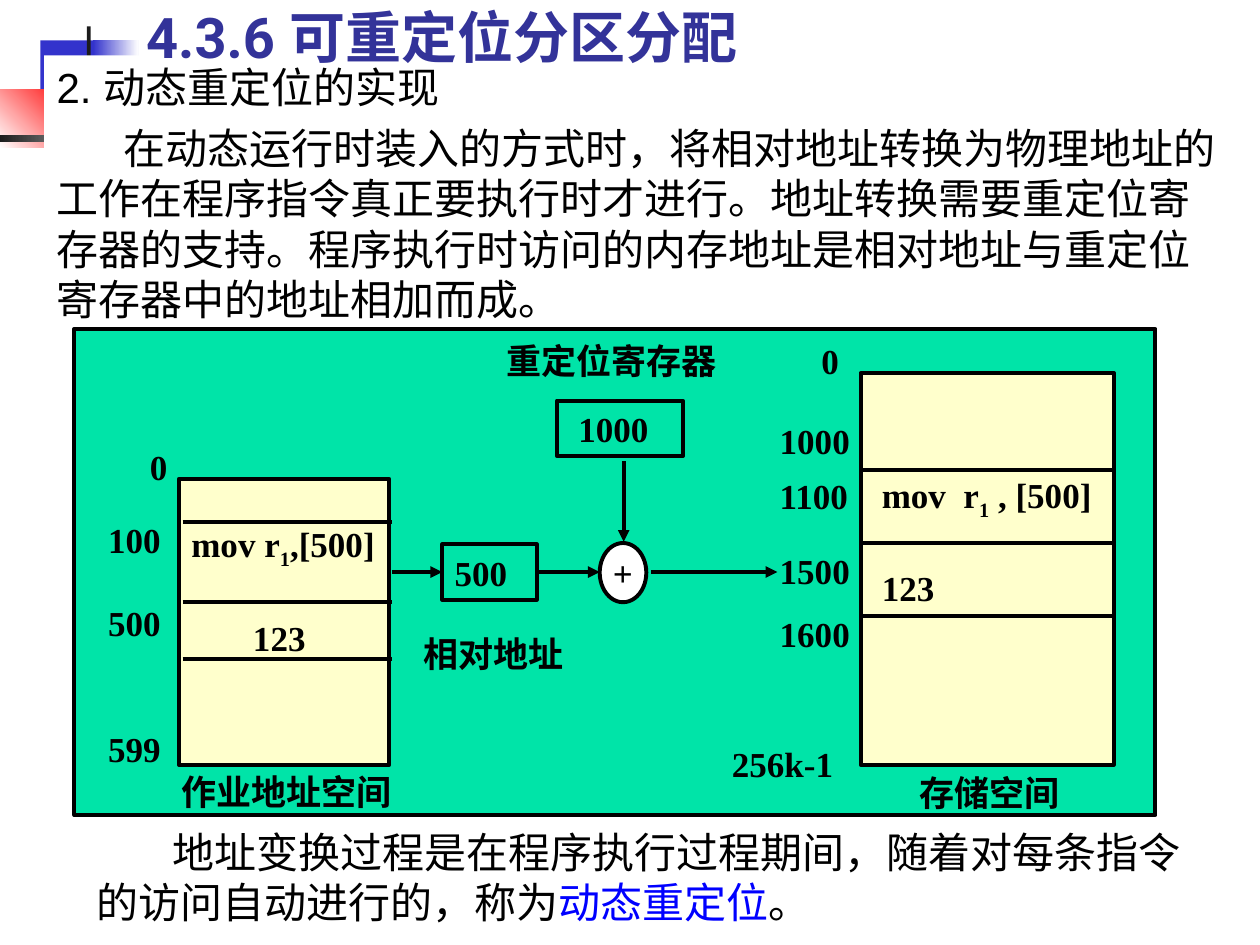
from lxml import etree
from pptx import Presentation
from pptx import util as u
from pptx.dml.color import RGBColor
from pptx.enum import shapes, text
from pptx.oxml.ns import qn

RECT = shapes.MSO_SHAPE.RECTANGLE
OVAL = shapes.MSO_SHAPE.OVAL
LEFT, MID = text.PP_ALIGN.LEFT, text.PP_ALIGN.CENTER
BLACK, WHITE, CREAM = "000000", "FFFFFF", "FFFFCC"


def color(code):
    return RGBColor.from_string(code)


class Page:
    serif, sans, head = "Times New Roman", "Arial", "Roboto"
    small, large = 20, 24
    width = 2.25

    def __init__(self, slide):
        self.slide = slide

    def font(self, run, name, size, bold=False, ink=BLACK):
        run.font.name = name
        run.font.size = u.Pt(size)
        run.font.bold = bold
        run.font.color.rgb = color(ink)

    def title(self, words, x, y, w, h):
        box = self.slide.shapes.title
        box.left, box.top, box.width, box.height = map(u.Inches, (x, y, w, h))
        frame = box.text_frame
        frame.text = words
        frame.vertical_anchor = text.MSO_ANCHOR.BOTTOM
        para = frame.paragraphs[0]
        para.alignment = LEFT
        self.font(para.runs[0], self.head, 32, True, "333399")
        # Keep the title in front of the white text panel
        self.slide.shapes.element.append(box.element)

    def shape(self, x, y, w, h, fill=None, line=None, kind=RECT):
        item = self.slide.shapes.add_shape(kind, *map(u.Inches, (x, y, w, h)))
        item.shadow.inherit = False
        if fill is None:
            item.fill.background()
        elif isinstance(fill, str):
            item.fill.solid()
            item.fill.fore_color.rgb = color(fill)
        else:
            start, end, angle = fill
            item.fill.gradient()
            item.fill.gradient_angle = angle
            for stop, code in zip(item.fill.gradient_stops, (start, end)):
                stop.color.rgb = color(code)
        if line:
            item.line.color.rgb = color(line)
            item.line.width = u.Pt(self.width)
        else:
            item.line.fill.background()
        return item

    def mark(self, item, words, align=LEFT, inset=0.1):
        """Put bold serif text in a shape; '_' comes before a subscript sign."""
        frame = item.text_frame
        frame.margin_left = u.Inches(inset)
        frame.vertical_anchor = text.MSO_ANCHOR.MIDDLE
        para = frame.paragraphs[0]
        para.alignment = align
        lead, _, rest = words.partition("_")
        for part, low in ((lead, False), (rest[:1], True), (rest[1:], False)):
            if part:
                run = para.add_run()
                run.text = part
                self.font(run, self.serif, self.small, True)
                if low:
                    run.font._element.set("baseline", "-25000")

    def label(self, words, x, y, w=1):
        box = self.slide.shapes.add_textbox(*map(u.Inches, (x, y, w, 0.44)))
        box.text_frame.word_wrap = False
        self.mark(box, words)

    def prose(self, item, paras):
        """Each paragraph is a first-line indent and a list of (words, ink)."""
        frame = item.text_frame
        frame.word_wrap = True
        frame.vertical_anchor = text.MSO_ANCHOR.TOP
        for i, (indent, parts) in enumerate(paras):
            para = frame.add_paragraph() if i else frame.paragraphs[0]
            para.alignment = LEFT
            para.space_before = u.Pt(6 if i else 0)
            para._p.get_or_add_pPr().set("indent", str(u.Inches(indent)))
            for words, ink in parts:
                run = para.add_run()
                run.text = words
                self.font(run, self.sans, self.large, ink=ink)

    def line(self, x1, y1, x2, y2, arrow=False):
        item = self.slide.shapes.add_connector(
            shapes.MSO_CONNECTOR.STRAIGHT, *map(u.Inches, (x1, y1, x2, y2)))
        item.line.color.rgb = color(BLACK)
        item.line.width = u.Pt(self.width)
        if arrow:
            etree.SubElement(item.line._get_or_add_ln(), qn("a:tailEnd"), type="triangle")
        etree.SubElement(item._element.spPr, qn("a:effectLst"))
        return item


def main():
    deck = Presentation()
    deck.slide_width, deck.slide_height = u.Inches(10), u.Inches(7.5)
    page = Page(deck.slides.add_slide(deck.slide_layouts[5]))

    # Corner ornament
    page.shape(0.32, 0.32, 0.48, 0.52, "3333CC")
    page.shape(0.74, 0.32, 0.36, 0.52, ("3333CC", WHITE, 0))
    page.shape(0, 0.71, 0.61, 0.46, (WHITE, "FF0000", 45))
    page.shape(0.69, 0.21, 0.03, 1.15, "1C1C1C")
    page.shape(0, 1.07, 1.22, 0.06, ("1C1C1C", WHITE, 0))

    # Running text above and below the diagram
    page.prose(page.shape(0.35, 0.44, 9.45, 2.19, WHITE), [
        (0, [("2. 动态重定位的实现", BLACK)]),
        (0.53, [("在动态运行时装入的方式时，将相对地址转换为物理地址的"
                 "工作在程序指令真正要执行时才进行。地址转换需要重定位寄"
                 "存器的支持。程序执行时访问的内存地址是相对地址与重定位"
                 "寄存器中的地址相加而成。", BLACK)]),
    ])
    note = page.slide.shapes.add_textbox(*map(u.Inches, (0.67, 6.51, 8.83, 0.9)))
    page.prose(note, [(0.6, [
        ("地址变换过程是在程序执行过程期间，随着对每条指令的访问自动进行的，称为", BLACK),
        ("动态重定位", "0000FF"), ("。", BLACK)])])

    # Panel and the two address spaces
    page.shape(0.59, 2.61, 8.58, 3.86, "00E4A8", BLACK)
    page.shape(1.42, 3.8, 1.67, 2.27, CREAM, BLACK)
    page.shape(6.83, 2.96, 2.01, 3.11, CREAM, BLACK)
    for y in (4.14, 4.78, 5.23):
        page.line(1.45, y, 3.11, y)
    for y in (3.73, 4.31, 4.89):
        page.line(6.83, y, 8.83, y)

    # Cell contents, addresses and captions
    for words, x, y, w in [
        ("mov r_1,[500]", 1.42, 4.12, 1.67), ("123", 1.91, 4.84, 0.67),
        ("mov  r_1 , [500]", 6.9, 3.73, 1.9), ("123", 6.9, 4.44, 0.67),
        ("0", 1.09, 3.48, 0.42), ("100", 0.76, 4.06, 0.67),
        ("500", 0.76, 4.72, 0.67), ("599", 0.76, 5.72, 0.67),
        ("0", 6.42, 2.64, 0.42), ("1000", 6.09, 3.28, 1),
        ("1100", 6.09, 3.71, 1), ("1500", 6.09, 4.31, 1),
        ("1600", 6.09, 4.81, 1), ("256k-1", 5.71, 5.84, 1.08),
        ("作业地址空间", 1.34, 6.06, 2), ("存储空间", 7.2, 6.07, 1.5),
        ("重定位寄存器", 3.92, 2.64, 2), ("相对地址", 3.26, 4.97, 1.33),
    ]:
        page.label(words, x, y, w)

    # Registers and adder
    offset = page.shape(3.51, 4.32, 0.75, 0.44, line=BLACK)
    page.mark(offset, "500")
    base = page.shape(4.42, 3.18, 1, 0.44, line=BLACK)
    page.mark(base, "1000", inset=0.17)
    adder = page.shape(4.76, 4.31, 0.37, 0.47, WHITE, BLACK, OVAL)
    adder.text_frame.word_wrap = False
    page.mark(adder, "+", MID)

    # Arrows
    flow = 4.54
    page.line(3.11, flow, 3.51, flow, True).end_connect(offset, 1)
    page.line(4.26, flow, 4.76, flow, True).begin_connect(offset, 3)
    page.line(5.17, flow, 6.17, flow, True)
    page.line(4.95, 3.66, 4.95, 4.3, True)

    page.title("4.3.6 可重定位分区分配", 1.06, 0.05, 8.52, 0.55)
    deck.save("out.pptx")


if __name__ == "__main__":
    main()
